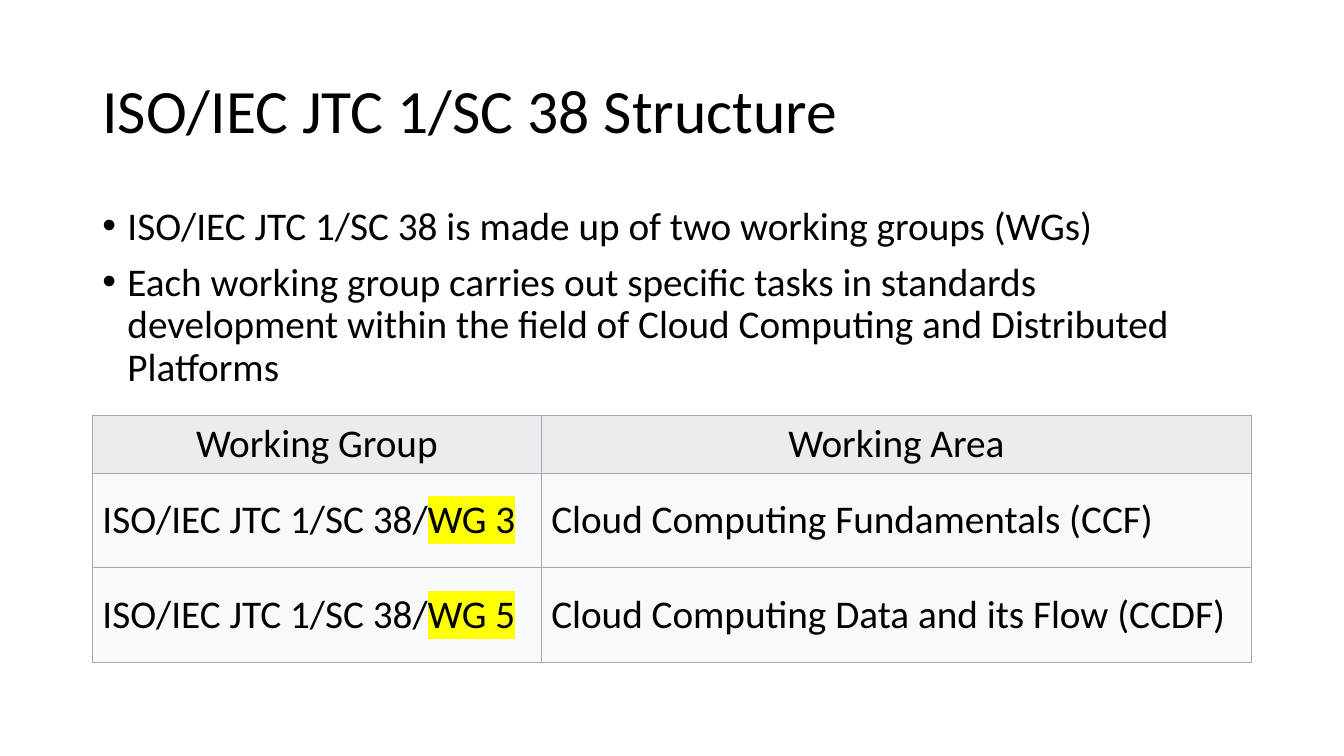
"""Build the ISO/IEC JTC 1/SC 38 structure slide."""
from pptx import Presentation
from pptx.dml.color import RGBColor
from pptx.enum import text
from pptx.oxml import parse_xml
from pptx.oxml.ns import nsdecls
from pptx.util import Pt


def color(value):
    return RGBColor.from_string(value)


def add_text(paragraph, content, size=28, align=text.PP_ALIGN.LEFT, spacing=1.0, before=0, highlight=None):
    paragraph.alignment = align
    paragraph.line_spacing = spacing
    paragraph.space_before = Pt(before)
    run = paragraph.add_run()
    run.text = content
    run.font.size = Pt(size)
    run.font.color.rgb = color("000000")
    if highlight:
        run.font.fill._xPr.append(parse_xml(
            f'<a:highlight {nsdecls("a")}><a:srgbClr val="{highlight}"/></a:highlight>'))
    run.font.name = "Calibri"


LEFT, WIDTH = 66, 828
BULLETS = [
    "ISO/IEC JTC 1/SC 38 is made up of two working groups (WGs)",
    "Each working group carries out specific tasks in standards development "
    "within the field of Cloud Computing and Distributed Platforms",
]
HEADERS = ["Working Group", "Working Area"]
GROUPS = [
    ("WG 3", "Cloud Computing Fundamentals (CCF)"),
    ("WG 5", "Cloud Computing Data and its Flow (CCDF)"),
]

presentation = Presentation()
presentation.slide_width, presentation.slide_height = Pt(960), Pt(540)
slide = presentation.slides.add_slide(presentation.slide_layouts[5])

title = slide.shapes.title
title.left, title.top, title.width, title.height = Pt(LEFT), Pt(28.75), Pt(WIDTH), Pt(104.4)
title.text_frame.auto_size = text.MSO_AUTO_SIZE.NONE
title.text_frame.vertical_anchor = text.MSO_ANCHOR.MIDDLE
add_text(title.text_frame.paragraphs[0], "ISO/IEC JTC 1/SC 38 Structure", size=44, spacing=0.9)

body = slide.shapes.add_textbox(Pt(LEFT), Pt(143.75), Pt(WIDTH), Pt(342.6))
body.text_frame.word_wrap = True
for index, content in enumerate(BULLETS):
    paragraph = body.text_frame.add_paragraph() if index else body.text_frame.paragraphs[0]
    properties = paragraph._p.get_or_add_pPr()
    properties.set("marL", str(Pt(18)))
    properties.set("indent", str(-Pt(18)))
    properties.append(parse_xml(f'<a:buFont {nsdecls("a")} typeface="Arial"/>'))
    properties.append(parse_xml(f'<a:buChar {nsdecls("a")} char="•"/>'))
    add_text(paragraph, content, spacing=0.9, before=10 if index else 0)

table = slide.shapes.add_table(3, 2, Pt(LEFT), Pt(296.5), Pt(WIDTH), Pt(176.4)).table
for column, width in zip(table.columns, (320.6, 507.4)):
    column.width = Pt(width)
for row, height in zip(table.rows, (41.4, 67.5, 67.5)):
    row.height = Pt(height)

for cell in table.iter_cells():
    cell.vertical_anchor = text.MSO_ANCHOR.MIDDLE
    for side in "LRTB":
        cell._tc.get_or_add_tcPr().append(parse_xml(
            f'<a:ln{side} {nsdecls("a")} w="{Pt(0.38)}"><a:solidFill>'
            f'<a:srgbClr val="A2A9B1"/></a:solidFill></a:ln{side}>'))
    cell.fill.solid()
    cell.fill.fore_color.rgb = color("F8F9FA")

for column, header in enumerate(HEADERS):
    cell = table.cell(0, column)
    cell.fill.fore_color.rgb = color("EAECF0")
    add_text(cell.text_frame.paragraphs[0], header, align=text.PP_ALIGN.CENTER)
    cell.text_frame.paragraphs[0].runs[0].font.bold = False

for row, (group, area) in enumerate(GROUPS, start=1):
    paragraph = table.cell(row, 0).text_frame.paragraphs[0]
    add_text(paragraph, "ISO/IEC JTC 1/SC 38/")
    add_text(paragraph, group, highlight="FFFF00")
    add_text(table.cell(row, 1).text_frame.paragraphs[0], area)

presentation.save("out.pptx")
